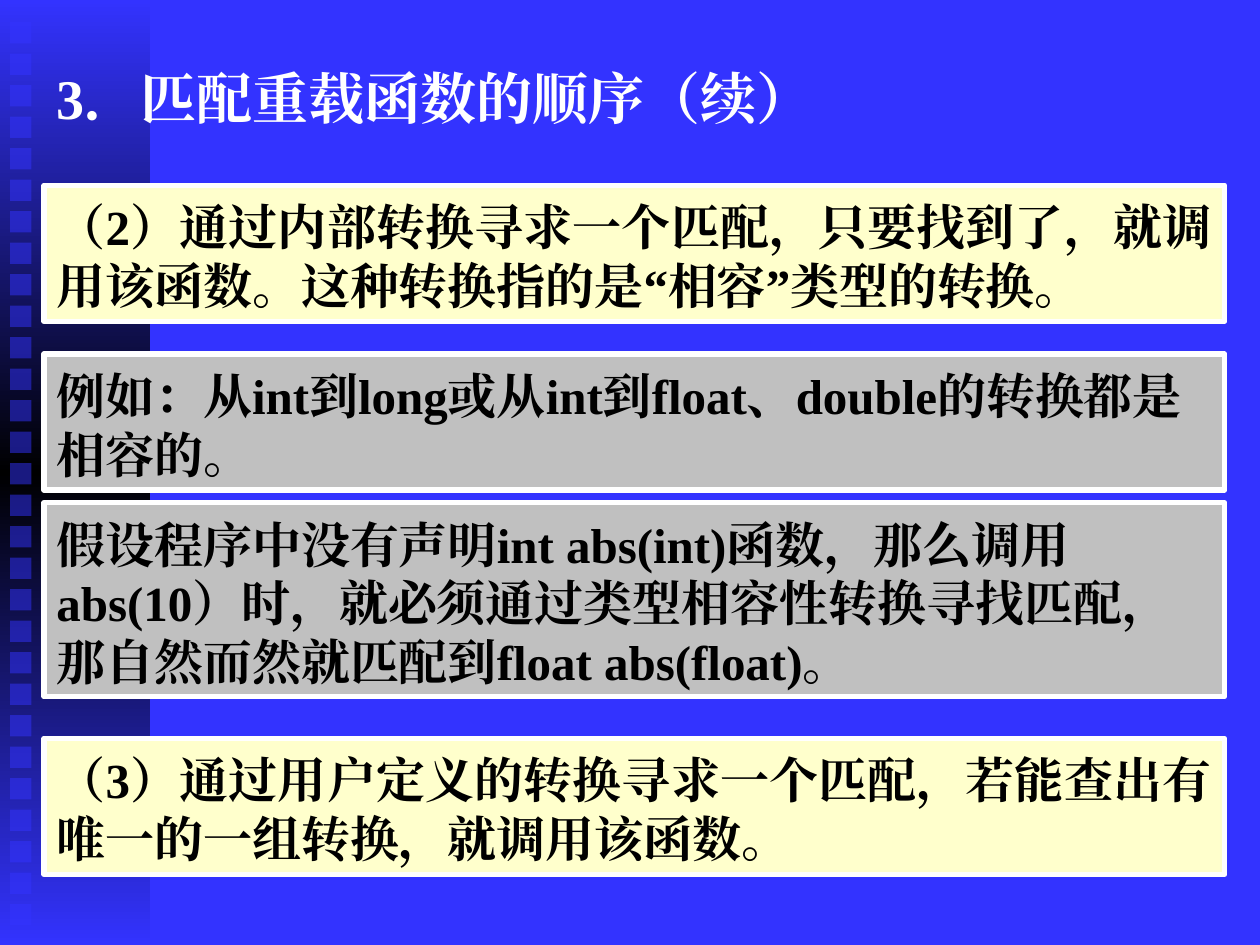
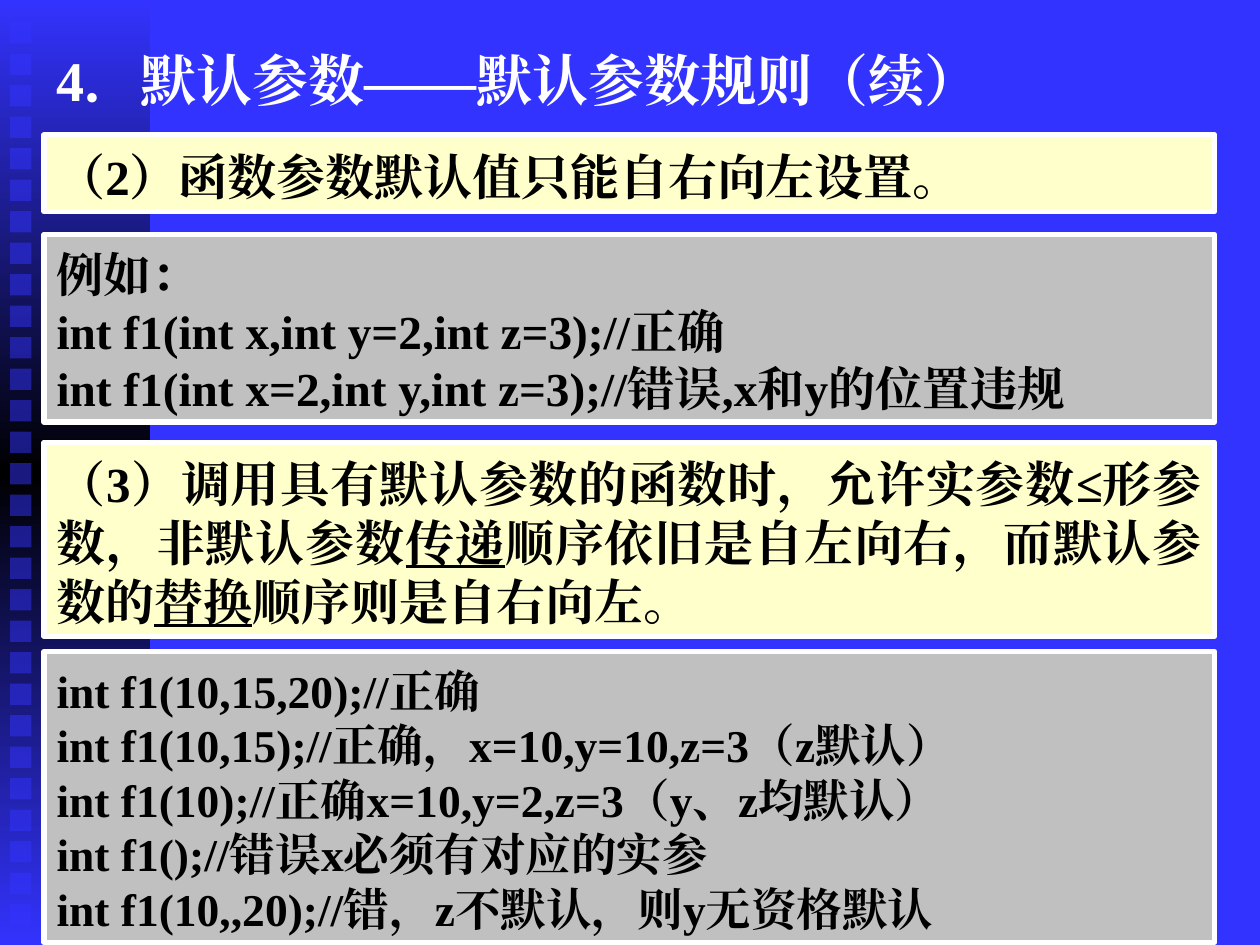
from copy import deepcopy
from lxml import etree
from pptx import Presentation, util as u
from pptx.dml.color import RGBColor
from pptx.enum import shapes, text
from pptx.oxml.ns import qn

BLUE = RGBColor(0x33, 0x33, 0xFF)
BLACK = RGBColor(0, 0, 0)
WHITE = RGBColor(255, 255, 255)
CREAM = RGBColor(0xFF, 0xFF, 0xCC)
GREY = RGBColor(0xC0, 0xC0, 0xC0)
FONT = "Times New Roman"
COLS, ROWS = 1000, 750
WIDE, HIGH = u.Inches(10), u.Inches(7.5)
LEFT = 35


def place(left, top, wide, high):
    """Turn columns and rows of the grid into lengths."""
    return [u.Emu(round(n)) for n in (left * WIDE / COLS, top * HIGH / ROWS,
                                      wide * WIDE / COLS, high * HIGH / ROWS)]


def block(slide, box):
    """Add a plain rectangle without line or shadow."""
    shape = slide.shapes.add_shape(shapes.MSO_SHAPE.RECTANGLE, *place(*box))
    shape.shadow.inherit = False
    shape.line.fill.background()
    return shape


def band(slide, box, count=29):
    """Draw the shaded side band with its column of dots."""
    left, top, wide, high = box
    fill = block(slide, box).fill
    fill.gradient()
    fill.gradient_angle = 90
    stops = fill.gradient_stops
    base = slide.shapes[-1].element.find(".//" + qn("a:gsLst"))
    base.append(deepcopy(base[0]))
    stops = fill.gradient_stops
    for stop, place_at, color in zip(stops, (0, 0.5, 1), (BLUE, BLACK, BLUE)):
        stop.position = place_at
        stop.color.rgb = color
    step = high / 30
    for row in range(count):
        dot = block(slide, (left + 8, top + 17.5 + row * step, 17, 17))
        dot.fill.solid()
        dot.fill.fore_color.rgb = BLUE
        tint = dot.element.find(".//" + qn("a:srgbClr"))
        etree.SubElement(tint, qn("a:alpha"), val="50000")


def write(frame, lines, size, color, align=text.PP_ALIGN.LEFT):
    """Fill a frame with bold lines; marks _ enclose underlined words."""
    frame.word_wrap = True
    for row, line in enumerate(lines):
        para = frame.add_paragraph() if row else frame.paragraphs[0]
        para.alignment = align
        for turn, part in enumerate(line.split("_")):
            run = para.add_run()
            run.text = part
            if turn % 2:
                run.font.underline = True
        font = para.font
        font.size, font.bold, font.name = u.Pt(size), True, FONT
        font.color.rgb = color
        latin = para._p.pPr.find(".//" + qn("a:latin"))
        latin.addnext(latin.makeelement(qn("a:ea"), {"typeface": FONT}))


def title(slide, box, words):
    """Write the slide title."""
    frame = slide.shapes.add_textbox(*place(*box)).text_frame
    frame.vertical_anchor = text.MSO_ANCHOR.MIDDLE
    write(frame, [words], 32, WHITE)


def panel(slide, box, lines, size, rule):
    """Draw a framed panel: cream for a rule, grey for an example."""
    shape = block(slide, box)
    shape.fill.solid()
    shape.fill.fore_color.rgb = CREAM if rule else GREY
    shape.line.color.rgb = WHITE
    shape.line.width = u.Pt(3)
    frame = shape.text_frame
    frame.margin_top = u.Inches(0.09)
    frame.vertical_anchor = text.MSO_ANCHOR.TOP
    frame.auto_size = text.MSO_AUTO_SIZE.SHAPE_TO_FIT_TEXT
    align = text.PP_ALIGN.JUSTIFY if rule else text.PP_ALIGN.LEFT
    write(frame, lines, size, BLACK, align)


def page(deck, words, top, wide, panels):
    """Build one slide from its title and its column of panels."""
    slide = deck.slides.add_slide(deck.slide_layouts[6])
    slide.background.fill.solid()
    slide.background.fill.fore_color.rgb = BLUE
    band(slide, (0, 0, 119, ROWS))
    title(slide, (LEFT, top, 844, 83), words)
    for row, high, rule, size, lines in panels:
        panel(slide, (LEFT, row, wide, high), lines, size, rule)


ORDER = [
    (147, 108, True, 28, ["（2）通过内部转换寻求一个匹配，只要找到了，就调用该函数。"
                          "这种转换指的是“相容”类型的转换。"]),
    (281, 108, False, 28, ["例如：从int到long或从int到float、double的转换都是相容的。"]),
    (399, 154, False, 28, ["假设程序中没有声明int abs(int)函数，那么调用abs(10）时，"
                           "就必须通过类型相容性转换寻找匹配，"
                           "那自然而然就匹配到float abs(float)。"]),
    (586, 108, True, 28, ["（3）通过用户定义的转换寻求一个匹配，"
                          "若能查出有唯一的一组转换，就调用该函数。"]),
]
RULES = [
    (107, 61, True, 28, ["（2）函数参数默认值只能自右向左设置。"]),
    (186, 149, False, 27, ["例如：",
                           "int f1(int x,int y=2,int z=3);//正确",
                           "int f1(int x=2,int y,int z=3);//错误,x和y的位置违规"]),
    (351, 154, True, 28, ["（3）调用具有默认参数的函数时，允许实参数≤形参数，"
                          "非默认参数_传递_顺序依旧是自左向右，"
                          "而默认参数的_替换_顺序则是自右向左。"]),
    (517, 231, False, 26, ["int f1(10,15,20);//正确",
                           "int f1(10,15);//正确，x=10,y=10,z=3（z默认）",
                           "int f1(10);//正确x=10,y=2,z=3（y、z均默认）",
                           "int f1();//错误x必须有对应的实参",
                           "int f1(10,,20);//错，z不默认，则y无资格默认"]),
]


def main():
    """Build and save the deck."""
    deck = Presentation()
    deck.slide_width, deck.slide_height = WIDE, HIGH
    page(deck, "3．匹配重载函数的顺序（续）", 36, 937, ORDER)
    page(deck, "4．默认参数——默认参数规则（续）", 21, 929, RULES)
    deck.save("out.pptx")


if __name__ == "__main__":
    main()
